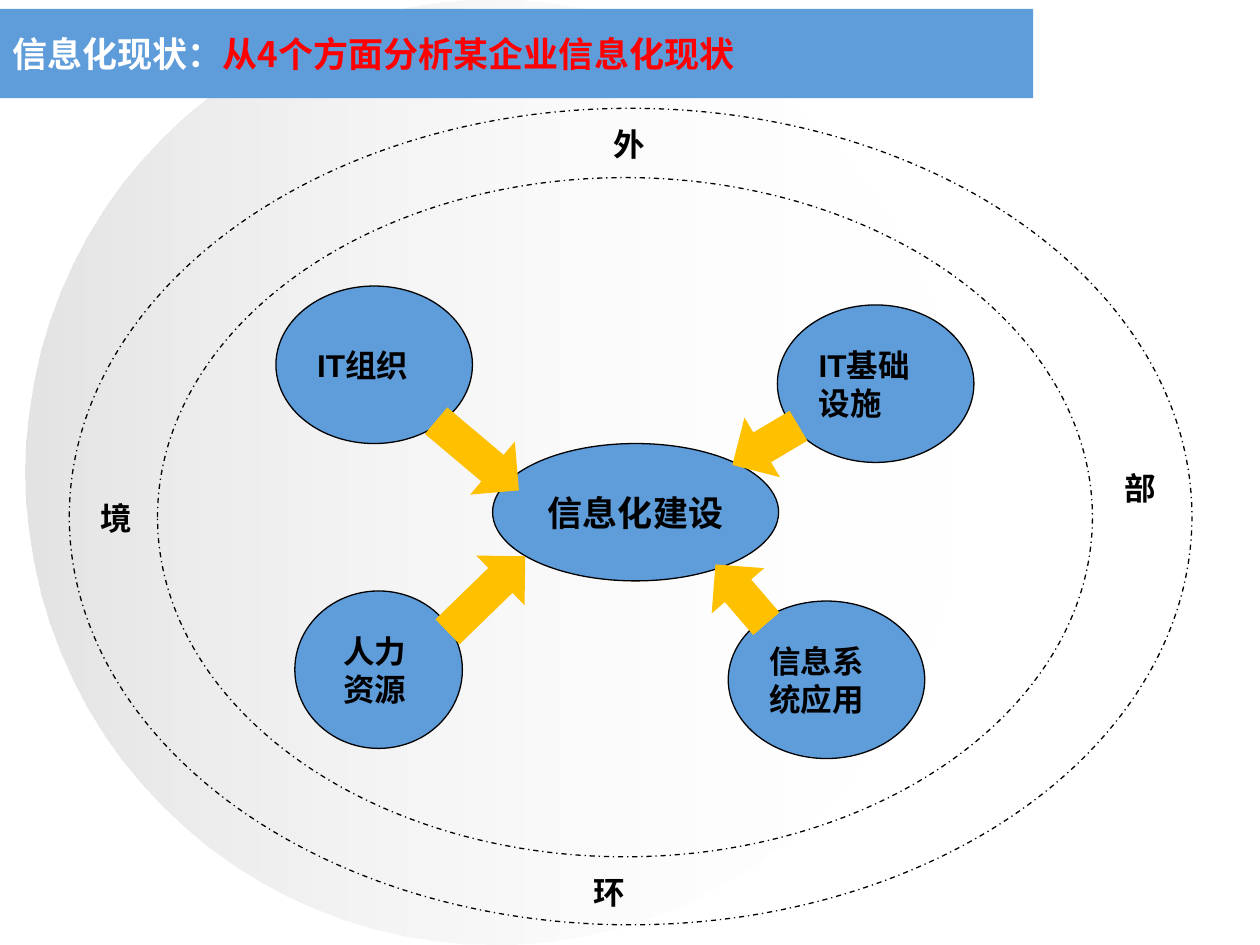
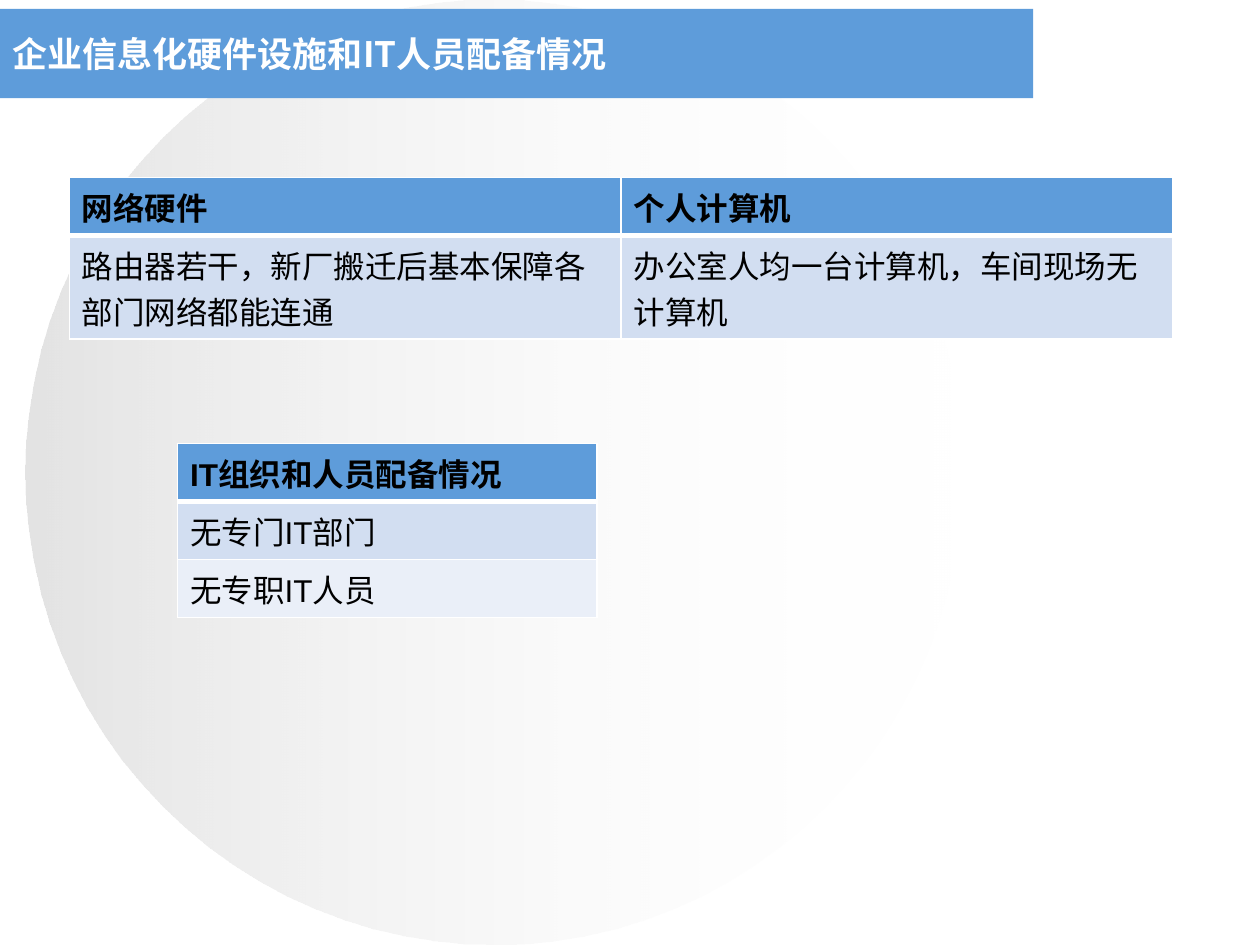
from lxml.etree import SubElement
from pptx import Presentation
from pptx.dml.color import RGBColor
from pptx.enum.dml import MSO_LINE
from pptx.enum.shapes import MSO_SHAPE
from pptx.enum.text import MSO_ANCHOR, PP_ALIGN
from pptx.oxml.ns import qn
from pptx.util import Inches, Pt

BLUE = RGBColor(0x5E, 0x9C, 0xDA)
PALE_BLUE = RGBColor(0xD2, 0xDE, 0xF1)
PALEST_BLUE = RGBColor(0xEA, 0xEF, 0xF8)
AMBER = RGBColor(0xFF, 0xC0, 0x00)
SILVER = RGBColor(0xC0, 0xC0, 0xC0)
RED = RGBColor(0xFF, 0x00, 0x00)
WHITE = RGBColor(0xFF, 0xFF, 0xFF)
BLACK = RGBColor(0x00, 0x00, 0x00)

LATIN_FONT = "Arial"
HAN_FONT = "Noto Sans CJK SC"


class SlideBuilder:
    """Holds the deck style and the slide being drawn."""

    def __init__(self):
        """Start an empty deck of 10 by 7.5 inches."""
        self.deck = Presentation()
        self.deck.slide_width, self.deck.slide_height = Inches(10), Inches(7.5)
        self.page = None

    def new_page(self, *title_spans):
        """Add a page with the shaded disc, the title band and its title."""
        self.page = self.deck.slides.add_slide(self.deck.slide_layouts[6])
        self.disc(0.2, 0, 7.44, 7.5)
        self.shape(MSO_SHAPE.RECTANGLE, 0, 0.07, 8.2, 0.71, fill=BLUE)
        box = self.text_box(0, 0.16, 8.2, 0.53)
        box.text_frame.word_wrap = True
        box.text_frame.vertical_anchor = MSO_ANCHOR.MIDDLE
        for text, color in title_spans:
            self.span(box.text_frame.paragraphs[0], text, 20, color, latin=HAN_FONT)

    def span(self, para, text, size=18, color=BLACK, bold=True, latin=LATIN_FONT):
        """Add one run of text to a paragraph."""
        span = para.add_run()
        span.text = text
        span.font.size = Pt(size)
        span.font.bold = bold
        span.font.name = latin
        span.font.color.rgb = color
        SubElement(span.font._element, qn("a:ea")).set("typeface", HAN_FONT)

    def text_box(self, left, top, width, height):
        """Add an empty text box."""
        return self.page.shapes.add_textbox(
            Inches(left), Inches(top), Inches(width), Inches(height))

    def shape(self, kind, left, top, width, height, fill=None, line=None):
        """Add a flat preset shape with an optional fill and thin outline."""
        shape = self.page.shapes.add_shape(
            kind, Inches(left), Inches(top), Inches(width), Inches(height))
        shape.shadow.inherit = False
        if fill is None:
            shape.fill.background()
        else:
            shape.fill.solid()
            shape.fill.fore_color.rgb = fill
        if line is None:
            shape.line.fill.background()
        else:
            shape.line.color.rgb = line
            shape.line.width = Pt(0.75)
        return shape

    def disc(self, *place):
        """Add the disc that fades from grey on the left to nothing."""
        disc = self.shape(MSO_SHAPE.OVAL, *place)
        disc.fill.gradient()
        disc.fill.gradient_angle = 0
        fades = ((0, SILVER, 44), (1, WHITE, 0))
        for stop, (position, color, opacity) in zip(disc.fill.gradient_stops, fades):
            stop.position = position
            stop.color.rgb = color
            color_node = stop._gs.find(qn("a:srgbClr"))
            SubElement(color_node, qn("a:alpha")).set("val", str(opacity * 1000))

    def bubble(self, text, *place, size=18, align=PP_ALIGN.LEFT, indent=0):
        """Add a blue ellipse with bold text."""
        bubble = self.shape(MSO_SHAPE.OVAL, *place, fill=BLUE, line=BLACK)
        bubble.text_frame.vertical_anchor = MSO_ANCHOR.MIDDLE
        para = bubble.text_frame.paragraphs[0]
        para.alignment = align
        para.line_spacing = Pt(size * 1.2)
        para._p.get_or_add_pPr().set("marL", str(Inches(indent)))
        self.span(para, text, size)

    def arrow(self, left, top, width, rotation):
        """Add an amber block arrow turned towards the centre."""
        arrow = self.shape(MSO_SHAPE.LEFT_ARROW, left, top, width, 0.55, fill=AMBER)
        arrow.rotation = rotation

    def ring(self, *place):
        """Add an unfilled dash-dot ellipse."""
        ring = self.shape(MSO_SHAPE.OVAL, *place, line=BLACK)
        ring.line.dash_style = MSO_LINE.DASH_DOT

    def ring_label(self, text, left, top):
        """Add one character between the two rings."""
        box = self.text_box(left, top, 0.46, 0.4)
        box.text_frame.word_wrap = False
        para = box.text_frame.paragraphs[0]
        para.line_spacing = Pt(21.6)
        self.span(para, text)

    def table(self, left, top, column_width, row_heights, rows):
        """Add a table with a blue header and banded body rows."""
        frame = self.page.shapes.add_table(
            len(rows), len(rows[0]), Inches(left), Inches(top),
            Inches(column_width * len(rows[0])), Inches(sum(row_heights)))
        for column in frame.table.columns:
            column.width = Inches(column_width)
        for row_index, (height, texts) in enumerate(zip(row_heights, rows)):
            frame.table.rows[row_index].height = Inches(height)
            is_header = row_index == 0
            band = PALE_BLUE if row_index % 2 else PALEST_BLUE
            for column_index, text in enumerate(texts):
                cell = frame.table.cell(row_index, column_index)
                self.borders(cell, top=3 if row_index == 1 else 1,
                             bottom=3 if is_header else 1)
                cell.fill.solid()
                cell.fill.fore_color.rgb = BLUE if is_header else band
                self.span(cell.text_frame.paragraphs[0], text, bold=is_header)

    def borders(self, cell, top, bottom):
        """Give a cell white borders, with side borders of one point."""
        properties = cell._tc.get_or_add_tcPr()
        for side, width in (("L", 1), ("R", 1), ("T", top), ("B", bottom)):
            line = SubElement(properties, qn(f"a:ln{side}"), w=str(Pt(width)))
            fill = SubElement(line, qn("a:solidFill"))
            SubElement(fill, qn("a:srgbClr")).set("val", str(WHITE))


def draw_status_map(builder):
    """Draw the four aspects around the central topic."""
    builder.new_page(("信息化现状：", WHITE), ("从4个方面分析某企业信息化现状", RED))
    builder.bubble("信息化建设", 3.91, 3.52, 2.27, 1.09, size=20, align=PP_ALIGN.CENTER)
    builder.bubble("IT组织", 2.19, 2.27, 1.56, 1.25)
    builder.bubble("IT基础设施", 6.17, 2.42, 1.56, 1.25)
    builder.bubble("信息系统应用", 5.78, 4.77, 1.56, 1.25)
    builder.bubble("人力资源", 2.34, 4.69, 1.33, 1.25, indent=0.09)
    for arrow in ((3.36, 3.34, 0.86, 220.1), (5.77, 3.26, 0.61, 329.3),
                  (5.57, 4.44, 0.62, 49.3), (3.43, 4.44, 0.86, 135.8)):
        builder.arrow(*arrow)
    builder.ring(1.25, 1.41, 7.42, 5.39)
    builder.ring(0.55, 0.86, 8.91, 6.48)
    for label in (("外", 4.77, 0.94), ("部", 8.83, 3.67),
                  ("环", 4.61, 6.88), ("境", 0.7, 3.91)):
        builder.ring_label(*label)


def draw_resources(builder):
    """Draw the hardware and staffing tables."""
    builder.new_page(("企业信息化硬件设施和IT人员配备情况", WHITE))
    builder.table(0.55, 1.41, 4.38, (0.46, 0.82), [
        ("网络硬件", "个人计算机"),
        ("路由器若干，新厂搬迁后基本保障各部门网络都能连通",
         "办公室人均一台计算机，车间现场无计算机"),
    ])
    builder.table(1.41, 3.52, 3.33, (0.46, 0.46, 0.46), [
        ("IT组织和人员配备情况",), ("无专门IT部门",), ("无专职IT人员",),
    ])


def main():
    """Build both slides and save the deck."""
    builder = SlideBuilder()
    draw_status_map(builder)
    draw_resources(builder)
    builder.deck.save("out.pptx")


if __name__ == "__main__":
    main()
